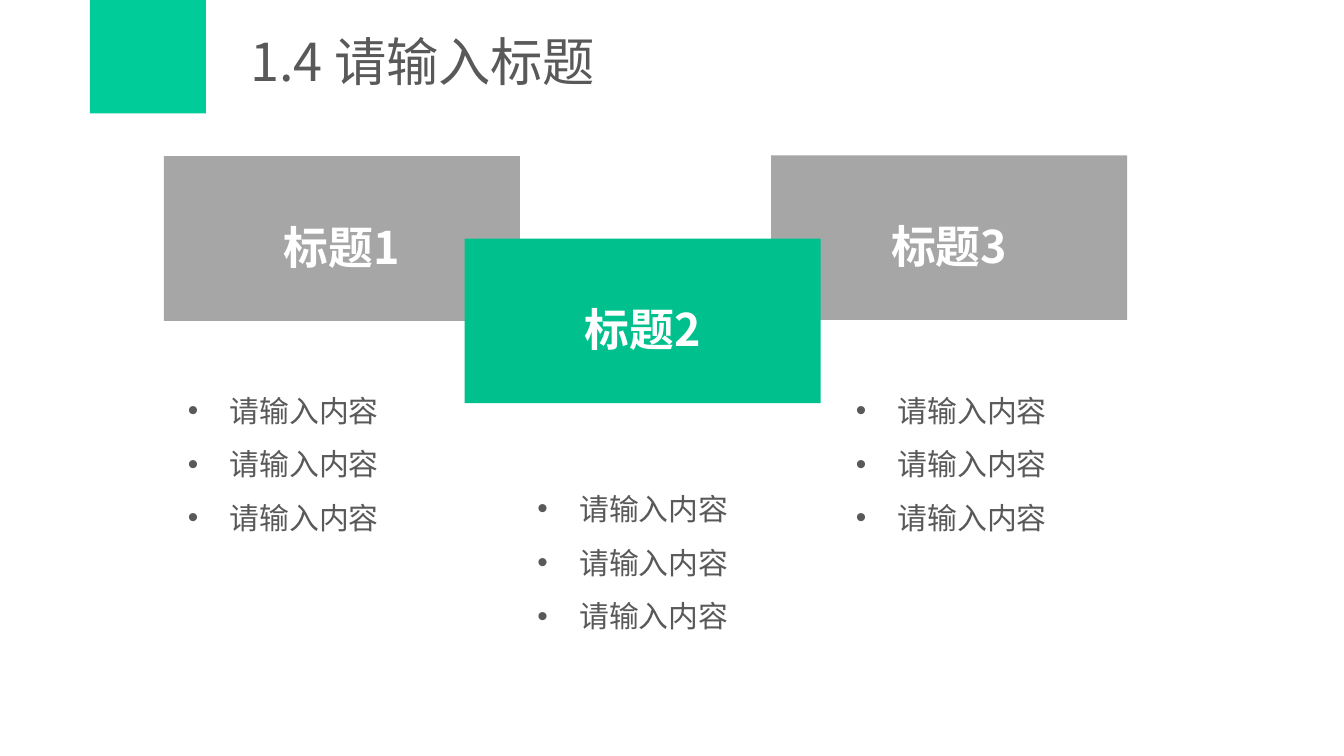
from dataclasses import dataclass

from lxml import etree
from pptx import Presentation
from pptx import util as u
from pptx.dml.color import RGBColor
from pptx.enum import shapes, text
from pptx.oxml import ns

PX = 5715


@dataclass(frozen=True)
class Theme:
    """Colours, font and type sizes of the deck."""
    accent: str = "00CC99"
    highlight: str = "00C08E"
    muted: str = "A6A6A6"
    body: str = "595959"
    light: str = "FFFFFF"
    font: str = "Noto Sans CJK SC"
    title_size: int = 28
    card_size: int = 24
    list_size: int = 16


THEME = Theme()


def emu(*lengths):
    """Turn px lengths into EMU."""
    return [u.Emu(length * PX) for length in lengths]


def add_span(para, words, size, color, bold=False):
    """Add one styled run to a paragraph."""
    span = para.add_run()
    span.text = words
    span.font.name = THEME.font
    span.font.size = u.Pt(size)
    span.font.bold = bold
    span.font.color.rgb = RGBColor.from_string(color)
    east_asian = etree.SubElement(span.font._element, ns.qn("a:ea"))
    east_asian.set("typeface", THEME.font)


def add_block(page, box, color):
    """Add a plain filled rectangle."""
    block = page.shapes.add_shape(shapes.MSO_SHAPE.RECTANGLE, *emu(*box))
    block.shadow.inherit = False
    block.fill.solid()
    block.fill.fore_color.rgb = RGBColor.from_string(color)
    block.line.fill.background()
    return block


def add_header(page, box, title):
    """Place the accent square and the slide title in a box."""
    left, top, width, height = box
    add_block(page, (left, top, 138, height), THEME.accent)
    area = (left + 175, top + 22, width - 175, 101)
    frame = page.shapes.add_textbox(*emu(*area)).text_frame
    frame.word_wrap = True
    frame.vertical_anchor = text.MSO_ANCHOR.MIDDLE
    add_span(frame.paragraphs[0], title, THEME.title_size, THEME.body)


def add_card(page, box, title, color):
    """Place a filled card with a centred bold title."""
    frame = add_block(page, box, color).text_frame
    frame.word_wrap = True
    frame.vertical_anchor = text.MSO_ANCHOR.MIDDLE
    para = frame.paragraphs[0]
    para.alignment = text.PP_ALIGN.CENTER
    para.line_spacing = 1.3
    add_span(para, title, THEME.card_size, THEME.light, bold=True)


def add_bullets(page, box, items):
    """Place a bulleted list in a box."""
    frame = page.shapes.add_textbox(*emu(*box)).text_frame
    frame.word_wrap = True
    frame.auto_size = text.MSO_AUTO_SIZE.SHAPE_TO_FIT_TEXT
    indent, = emu(50)
    for index, item in enumerate(items):
        para = frame.paragraphs[0] if index == 0 else frame.add_paragraph()
        para.line_spacing = 1.5
        props = para._p.get_or_add_pPr()
        props.set("marL", str(indent))
        props.set("indent", str(-indent))
        face = etree.SubElement(props, ns.qn("a:buFont"))
        face.set("typeface", "Arial")
        bullet = etree.SubElement(props, ns.qn("a:buChar"))
        bullet.set("char", "•")
        add_span(para, item, THEME.list_size, THEME.body)


def add_topics(page, box):
    """Place three overlapping cards and the list of each one."""
    left, top, _, _ = box
    cards = [
        ("标题1", 0, 1, THEME.muted),
        ("标题3", 723, 0, THEME.muted),
        ("标题2", 358, 99, THEME.highlight),
    ]
    for title, x, y, color in cards:
        add_card(page, (left + x, top + y, 424, 196), title, color)
    for x, y in [(13, 253), (429, 370), (808, 253)]:
        add_bullets(page, (left + x, top + y, 378, 210), ["请输入内容"] * 3)


def main():
    """Build and save the deck."""
    deck = Presentation()
    deck.slide_width, deck.slide_height = emu(1600, 900)
    page = deck.slides.add_slide(deck.slide_layouts[6])
    add_header(page, (107, 0, 1437, 135), "1.4 请输入标题")
    add_topics(page, (195, 185, 1186, 580))
    deck.save("out.pptx")


if __name__ == "__main__":
    main()
